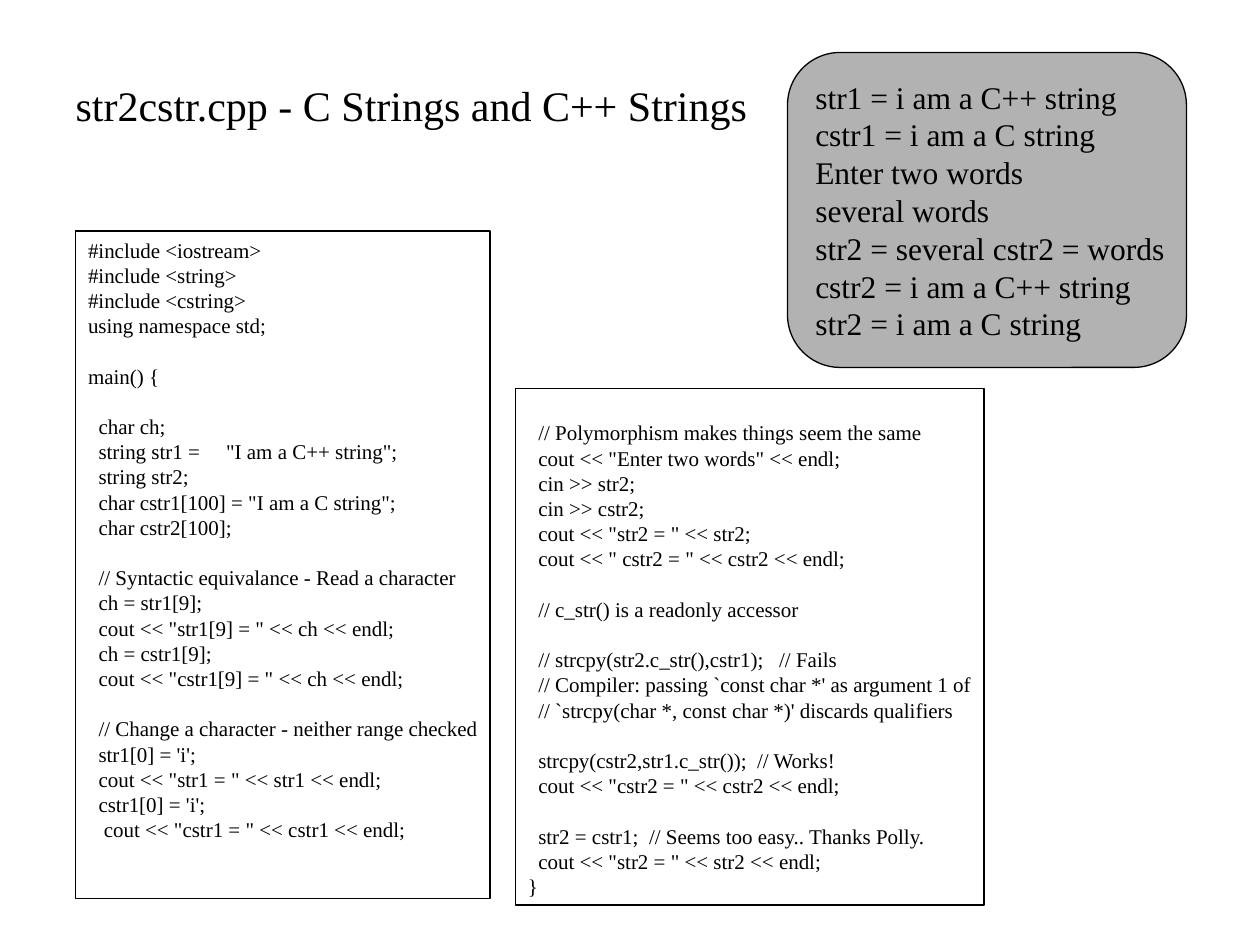
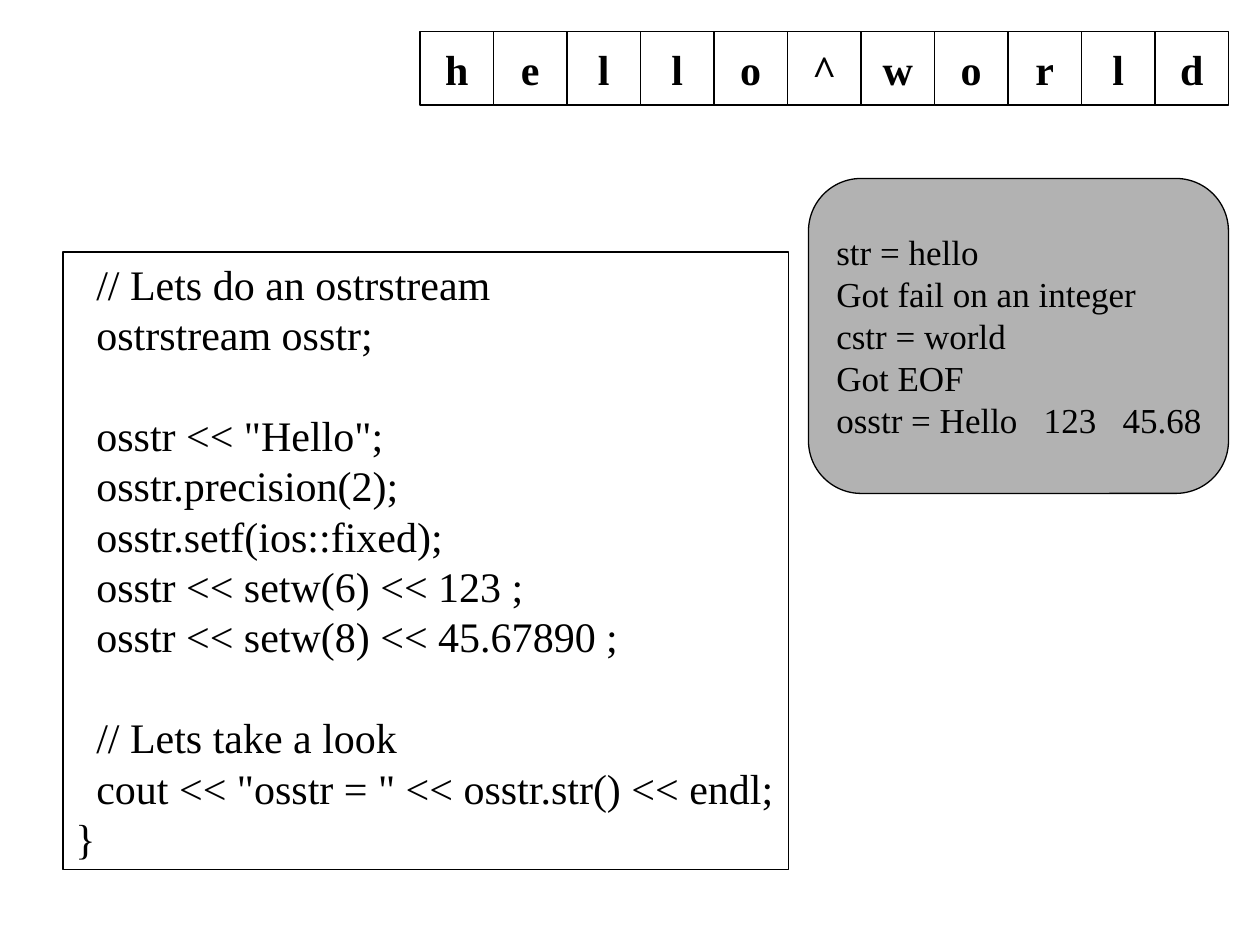
from dataclasses import dataclass

from pptx import Presentation
from pptx.dml.color import RGBColor
from pptx.enum.shapes import MSO_SHAPE
from pptx.enum.text import MSO_ANCHOR, MSO_AUTO_SIZE, PP_ALIGN
from pptx.util import Pt


@dataclass(frozen=True)
class Theme:
    font: str = "Times New Roman"
    ink: RGBColor = RGBColor(0x00, 0x00, 0x00)
    console: RGBColor = RGBColor(0xB2, 0xB2, 0xB2)
    line_width: float = 0.75
    title_size: int = 24
    letter_size: int = 24
    leading: float = 1.2       # line height as a share of the type size
    space: float = 0.25        # width of one space as a share of the type size
    inset_x: float = 7.2
    inset_y: float = 3.6


DECLARATIONS_CODE = """\
#include <iostream>
#include <string>
#include <cstring>
using namespace std;

main() {

  char ch;
  string str1 =     "I am a C++ string";
  string str2;
  char cstr1[100] = "I am a C string";
  char cstr2[100];

  // Syntactic equivalance - Read a character
  ch = str1[9];
  cout << "str1[9] = " << ch << endl;
  ch = cstr1[9];
  cout << "cstr1[9] = " << ch << endl;

  // Change a character - neither range checked
  str1[0] = 'i';
  cout << "str1 = " << str1 << endl;
  cstr1[0] = 'i';
   cout << "cstr1 = " << cstr1 << endl;

"""

CONVERSION_CODE = """
  // Polymorphism makes things seem the same
  cout << "Enter two words" << endl;
  cin >> str2;
  cin >> cstr2;
  cout << "str2 = " << str2;
  cout << " cstr2 = " << cstr2 << endl;

  // c_str() is a readonly accessor

  // strcpy(str2.c_str(),cstr1);   // Fails
  // Compiler: passing `const char *' as argument 1 of
  // `strcpy(char *, const char *)' discards qualifiers

  strcpy(cstr2,str1.c_str());  // Works!
  cout << "cstr2 = " << cstr2 << endl;

  str2 = cstr1;  // Seems too easy.. Thanks Polly.
  cout << "str2 = " << str2 << endl;
}"""

STRING_OUTPUT = """\
str1 = i am a C++ string
cstr1 = i am a C string
Enter two words
several words
str2 = several cstr2 = words
cstr2 = i am a C++ string
str2 = i am a C string"""

STREAM_CODE = """\
  // Lets do an ostrstream
  ostrstream osstr;

  osstr << "Hello";
  osstr.precision(2);
  osstr.setf(ios::fixed);
  osstr << setw(6) << 123 ;
  osstr << setw(8) << 45.67890 ;

  // Lets take a look
  cout << "osstr = " << osstr.str() << endl;
}"""

STREAM_OUTPUT = """\
str = hello
Got fail on an integer
cstr = world
Got EOF
osstr = Hello   123   45.68"""


class Deck:
    """Holds the theme and the current slide."""

    def __init__(self, theme):
        self.theme = theme
        self.presentation = Presentation()
        self.presentation.slide_width = Pt(720)
        self.presentation.slide_height = Pt(540)
        self.slide = None

    def add_slide(self, layout_name):
        layout = self.presentation.slide_layouts.get_by_name(layout_name)
        self.slide = self.presentation.slides.add_slide(layout)

    def set_lines(self, shape, text, size, anchor=MSO_ANCHOR.TOP, align=PP_ALIGN.LEFT, bold=False):
        """Set lines; leading spaces become indents, blank lines become spacing."""
        theme = self.theme
        line_height = size * theme.leading
        frame = shape.text_frame
        frame.word_wrap = False
        frame.auto_size = MSO_AUTO_SIZE.NONE
        frame.vertical_anchor = anchor
        frame.margin_left = frame.margin_right = Pt(theme.inset_x)
        frame.margin_top = frame.margin_bottom = Pt(theme.inset_y)

        paragraph, blank_lines = None, 0
        for line in text.split("\n"):
            code = line.lstrip()
            if not code:
                blank_lines += 1
                continue
            gap = blank_lines * line_height
            if paragraph is None:
                paragraph = frame.paragraphs[0]
                frame.margin_top = Pt(theme.inset_y + gap)
                gap = 0
            else:
                paragraph = frame.add_paragraph()
            blank_lines = 0
            paragraph.text = code
            paragraph.alignment = align
            paragraph.line_spacing = Pt(line_height)
            paragraph.space_before = Pt(gap)
            indent = Pt((len(line) - len(code)) * size * theme.space)
            properties = paragraph._p.get_or_add_pPr()
            properties.set("marL", str(indent))
            properties.set("indent", "0")
            font = paragraph.font
            font.name, font.size, font.bold = theme.font, Pt(size), bold
            font.color.rgb = theme.ink

    def outlined(self, shapes, kind, left, top, width, height, fill=None):
        shape = shapes.add_shape(kind, Pt(left), Pt(top), Pt(width), Pt(height))
        shape.shadow.inherit = False
        if fill is None:
            shape.fill.background()
        else:
            shape.fill.solid()
            shape.fill.fore_color.rgb = fill
        shape.line.color.rgb = self.theme.ink
        shape.line.width = Pt(self.theme.line_width)
        return shape

    def title(self, text, left, top, width, height):
        shape = self.slide.shapes.title
        shape.left, shape.top = Pt(left), Pt(top)
        shape.width, shape.height = Pt(width), Pt(height)
        self.set_lines(shape, text, self.theme.title_size)

    def console(self, text, left, top, width, size, height=180):
        shape = self.outlined(self.slide.shapes, MSO_SHAPE.ROUNDED_RECTANGLE,
                              left, top, width, height, self.theme.console)
        shape.adjustments[0] = 0.167
        self.set_lines(shape, text, size, MSO_ANCHOR.MIDDLE)

    def code_box(self, code, left, top, width, size):
        """A frame as tall as its lines of code."""
        lines = code.count("\n") + 1
        height = lines * size * self.theme.leading + 2 * self.theme.inset_y
        shape = self.outlined(self.slide.shapes, MSO_SHAPE.RECTANGLE, left, top, width, height)
        self.set_lines(shape, code, size)

    def letter_cells(self, letters, left, top, side):
        group = self.slide.shapes.add_group_shape()
        for index, letter in enumerate(letters):
            cell = self.outlined(group.shapes, MSO_SHAPE.RECTANGLE,
                                 left + index * side, top, side, side)
            self.set_lines(cell, letter, self.theme.letter_size,
                           MSO_ANCHOR.MIDDLE, PP_ALIGN.CENTER, bold=True)


def main():
    deck = Deck(Theme())

    # C strings and C++ strings
    deck.add_slide("Title Only")
    deck.title("str2cstr.cpp - C Strings and C++ Strings", 36, 42, 399.6, 36)
    deck.console(STRING_OUTPUT, 450, 30, 228, size=18)
    deck.code_box(DECLARATIONS_CODE, 43.2, 132, 236.9, size=12)
    deck.code_box(CONVERSION_CODE, 294.5, 222, 267.8, size=12)

    # String streams
    deck.add_slide("Blank")
    deck.console(STREAM_OUTPUT, 462, 102, 240, size=20)
    deck.code_box(STREAM_CODE, 36, 144, 414.7, size=24)
    deck.letter_cells("hello^world", 240, 18, 42)

    deck.presentation.save("out.pptx")


if __name__ == "__main__":
    main()
